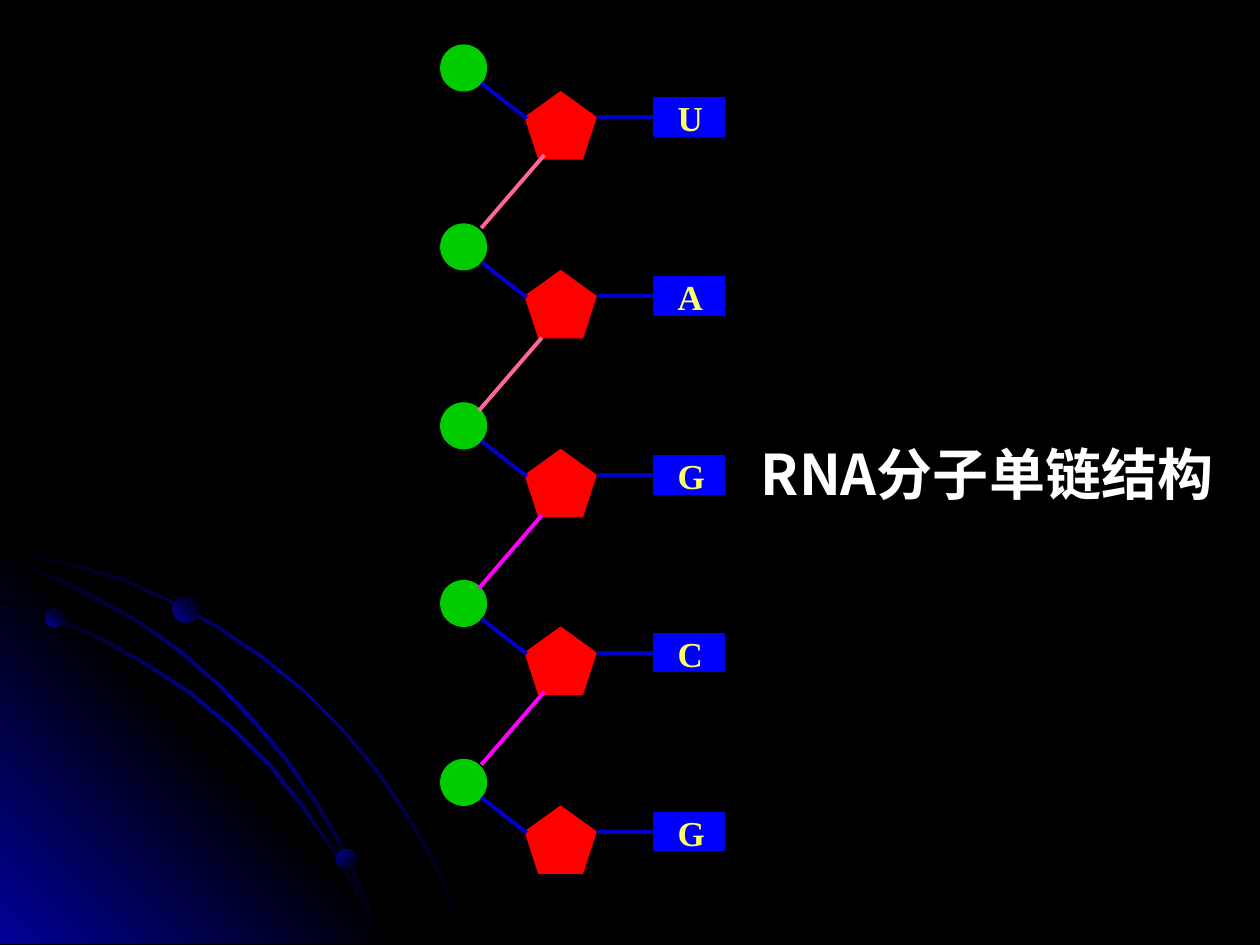
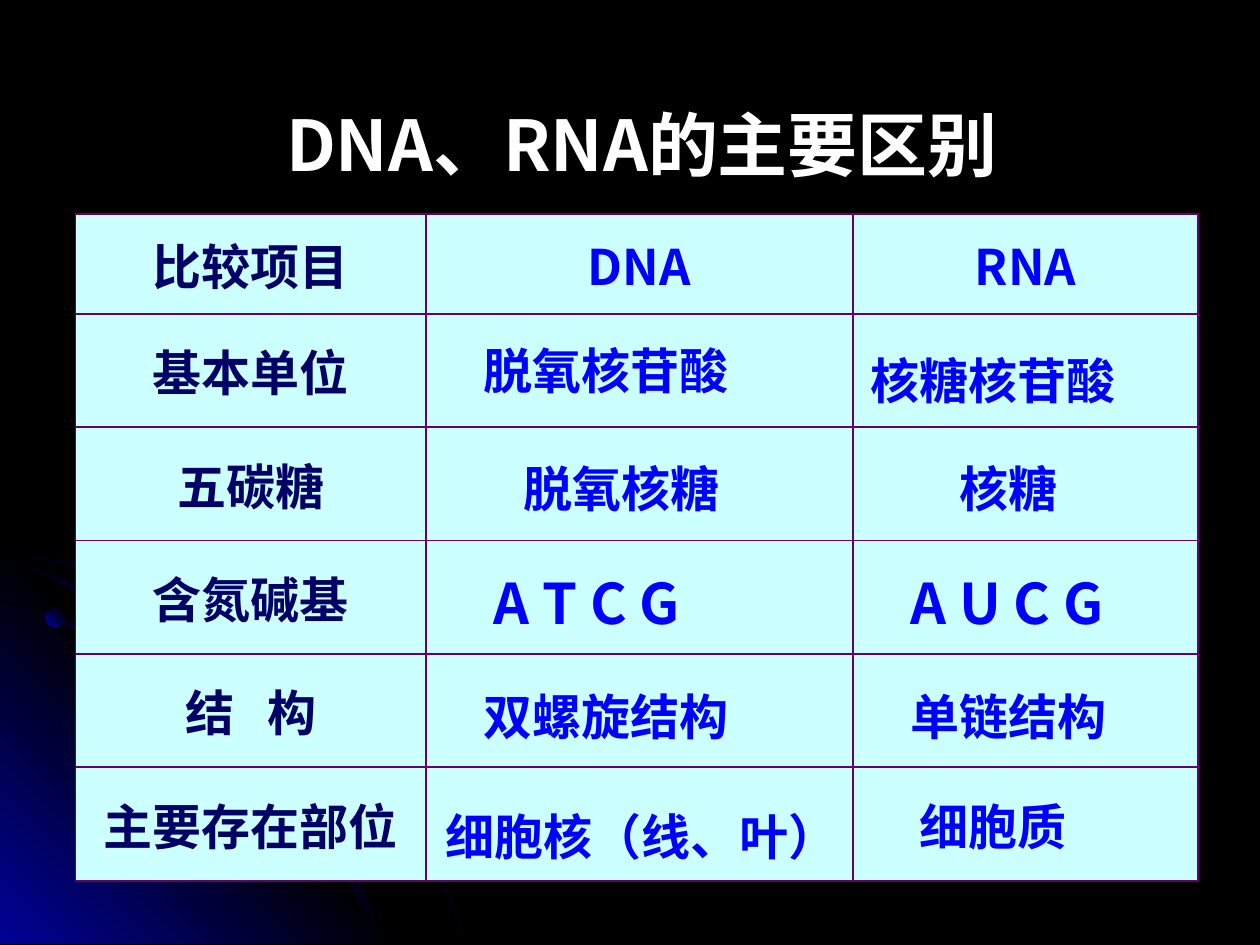
import pptx
import pptx.dml.color
import pptx.enum.shapes
import pptx.enum.text
import pptx.oxml.ns
import pptx.util
from lxml import etree

PX = 9144  # EMU in one px, 100 px to the inch
BLACK, NAVY, BLUE, WHITE = "000000", "010199", "0000FF", "FFFFFF"
SANS, SANS_SC, SERIF = "Noto Sans CJK JP", "Noto Sans CJK SC", "Times New Roman"
SHAPES = pptx.enum.shapes.MSO_SHAPE
STRAIGHT = pptx.enum.shapes.MSO_CONNECTOR.STRAIGHT
LEFT, CENTER = pptx.enum.text.PP_ALIGN.LEFT, pptx.enum.text.PP_ALIGN.CENTER
qn = pptx.oxml.ns.qn


def colour(hex_code):
    return pptx.dml.color.RGBColor.from_string(hex_code)


def add_span(para, text, size, font, hex_code):
    """Add one bold run whose font also covers the Chinese characters."""
    span = para.add_run()
    span.text = text
    span.font.size = pptx.util.Pt(size)
    span.font.bold = True
    span.font.name = font
    span.font.color.rgb = colour(hex_code)
    etree.SubElement(span._r.get_or_add_rPr(), qn("a:ea"), typeface=font)
    return span


deck = pptx.Presentation()
deck.slide_width, deck.slide_height = 1000 * PX, 750 * PX
chain_page, table_page = [deck.slides.add_slide(deck.slide_layouts[6]) for _ in range(2)]

# Shared background: a glowing corner, three orbits and three planets
outer_orbit = [
    (57, 447), (28, 441), (0, 435), (0, 438), (28, 443), (56, 449), (97, 461), (135, 478),
    (173, 499), (208, 523), (241, 549), (271, 579), (298, 612), (323, 649), (337, 673),
    (350, 698), (360, 723), (370, 749), (372, 749), (362, 723), (352, 698), (339, 673),
    (325, 648), (300, 611), (272, 578), (242, 548), (209, 521), (174, 497), (136, 477),
    (98, 459),
]
corner = [(322, 749), (0, 749), (0, 427)]
inner_orbit = [
    (285, 714), (294, 732), (301, 749), (303, 749), (296, 730), (286, 712), (266, 676),
    (242, 640), (215, 606), (184, 576), (152, 549), (117, 526), (79, 505), (41, 488),
    (0, 475), (0, 477), (39, 490), (77, 507), (115, 528), (150, 551), (183, 578),
    (213, 608), (240, 642), (265, 677),
]
middle_orbit = [
    (0, 442), (0, 444), (36, 457), (74, 475), (109, 494), (142, 518), (173, 544),
    (202, 575), (227, 605), (252, 641), (267, 667), (280, 694), (292, 722), (301, 749),
    (303, 749), (294, 720), (282, 693), (269, 665), (254, 639), (229, 603), (204, 573),
    (175, 543), (144, 516), (111, 493), (76, 473), (39, 455),
]
orbit_glow = [BLACK, NAVY, BLACK]
outlines = [
    (outer_orbit, orbit_glow, 45),
    (corner, [NAVY, BLACK, NAVY], 315),
    (inner_orbit, orbit_glow, 45),
    (middle_orbit, orbit_glow, 45),
]
planets = [(36, 483, 15, 315), (267, 674, 16, 45), (137, 473, 21, 315)]

for page in (chain_page, table_page):
    page.background.fill.solid()
    page.background.fill.fore_color.rgb = colour(BLACK)
    glowing = []
    for points, glow, angle in outlines:
        builder = page.shapes.build_freeform(*points[0], scale=PX)
        builder.add_line_segments(points[1:], close=True)
        glowing.append((builder.convert_to_shape(), glow, angle))
    for left, top, size, angle in planets:
        planet = page.shapes.add_shape(
            SHAPES.OVAL, left * PX, top * PX, size * PX, size * PX)
        glowing.append((planet, [NAVY, BLACK], angle))
    for shape, glow, angle in glowing:
        shape.shadow.inherit = False
        shape.line.fill.background()
        shape.fill.gradient()
        shape.fill.gradient_angle = 360 - angle
        stops = shape._element.spPr.find(qn("a:gradFill")).find(qn("a:gsLst"))
        for stop in list(stops):
            stops.remove(stop)
        for index, hex_code in enumerate(glow):
            position = 100000 * index // (len(glow) - 1)
            stop = etree.SubElement(stops, qn("a:gs"), pos=str(position))
            etree.SubElement(stop, qn("a:srgbClr"), val=hex_code)

# Text boxes of both slides: page, left, top, width, text, size, font, colour, alignment
captions = [
    (chain_page, 594, 344, 406, "RNA分子单链结构", 32, SANS, WHITE, LEFT),
    (table_page, 193, 76, 633, "DNA、RNA的主要区别", 40, SANS_SC, WHITE, CENTER),
]

# Slide 1: the RNA chain, one nucleotide per row
lines = []
for row, letter in enumerate("UAGCG"):
    drop = round(row * 141.75)
    parts = []
    for preset, left, top, width, height, hex_code in (
        (SHAPES.REGULAR_PENTAGON, 417, 73, 56, 53, "FF0000"),
        (SHAPES.OVAL, 350, 36, 36, 36, "00CC00"),
        (SHAPES.RECTANGLE, 519, 78, 56, 30, BLUE),
    ):
        part = chain_page.shapes.add_shape(
            preset, left * PX, (top + drop) * PX, width * PX, height * PX)
        part.shadow.inherit = False
        part.fill.solid()
        part.fill.fore_color.rgb = colour(hex_code)
        part.line.color.rgb = colour(hex_code)
        part.line.width = pptx.util.Pt(1)
        parts.append(part)
    base = parts[-1]
    lines.append((474, 93 + drop, 519, 93 + drop, "0000CC", base))
    lines.append((382, 66 + drop, 418, 94 + drop, "0000CC", None))
    captions.append((chain_page, 528, 72 + drop, 47, letter, 20, SERIF, "FFFF66", LEFT))

for left, top, hex_code in (
    (432, 123, "FF6699"), (430, 268, "FF6699"), (430, 409, "FF00FF"), (432, 549, "FF00FF"),
):
    lines.append((left, top, left - 50, top + 58, hex_code, None))

for x1, y1, x2, y2, hex_code, base in lines:
    line = chain_page.shapes.add_connector(STRAIGHT, x1 * PX, y1 * PX, x2 * PX, y2 * PX)
    line.line.color.rgb = colour(hex_code)
    line.line.width = pptx.util.Pt(2.25)
    etree.SubElement(line._element.spPr, qn("a:effectLst"))
    if base is not None:
        line.end_connect(base, 1)

# Slide 2: the comparison table
headings = ["比较项目", "DNA", "RNA"]
row_labels = ["基本单位", "五碳糖", "含氮碱基", "结 构", "主要存在部位"]
column_widths = [278, 339, 274]
row_heights = [79] + [90] * len(row_labels)
table = table_page.shapes.add_table(
    len(row_heights), len(column_widths), 60 * PX, 170 * PX,
    sum(column_widths) * PX, sum(row_heights) * PX).table
table.first_row = table.horz_banding = False
for column, width in zip(table.columns, column_widths):
    column.width = width * PX
for row, height in zip(table.rows, row_heights):
    row.height = height * PX

for cell in table.iter_cells():
    properties = cell._tc.get_or_add_tcPr()
    for side in ("a:lnL", "a:lnR", "a:lnT", "a:lnB"):
        border = etree.SubElement(properties, qn(side), w="13716")
        border_fill = etree.SubElement(border, qn("a:solidFill"))
        etree.SubElement(border_fill, qn("a:srgbClr"), val="660066")
    cell.fill.solid()
    cell.fill.fore_color.rgb = colour("CCFFFF")
    cell.vertical_anchor = pptx.enum.text.MSO_ANCHOR.MIDDLE

labels = [(0, column, text) for column, text in enumerate(headings)]
labels += [(row, 0, text) for row, text in enumerate(row_labels, 1)]
for row, column, text in labels:
    para = table.cell(row, column).text_frame.paragraphs[0]
    para.alignment = CENTER
    for piece in filter(None, text.partition(" ")):
        span = add_span(para, piece, 28, SANS_SC, BLUE if column else "000066")
        if piece == " ":
            span._r.get_or_add_rPr().set("spc", "1250")

for left, top, width, text, size in (
    (374, 265, 252, "脱氧核苷酸", 28), (681, 273, 244, "核糖核苷酸", 28),
    (406, 359, 190, "脱氧核糖", 28), (752, 359, 118, "核糖", 28),
    (382, 446, 221, "A T C G", 32), (713, 446, 205, "A U C G", 32),
    (374, 540, 252, "双螺旋结构", 28), (713, 540, 205, "单链结构", 28),
    (344, 635, 393, "细胞核（线、叶）", 28), (720, 627, 189, "细胞质", 28),
):
    captions.append((table_page, left, top, width, text, size, SANS_SC, BLUE, LEFT))

box_heights = {20: 44, 28: 57, 32: 64, 40: 77}
for page, left, top, width, text, size, font, hex_code, alignment in captions:
    box = page.shapes.add_textbox(
        left * PX, top * PX, width * PX, box_heights[size] * PX)
    box.text_frame.word_wrap = True
    box.text_frame.auto_size = pptx.enum.text.MSO_AUTO_SIZE.SHAPE_TO_FIT_TEXT
    para = box.text_frame.paragraphs[0]
    para.alignment = alignment
    add_span(para, text, size, font, hex_code)

deck.save("out.pptx")
